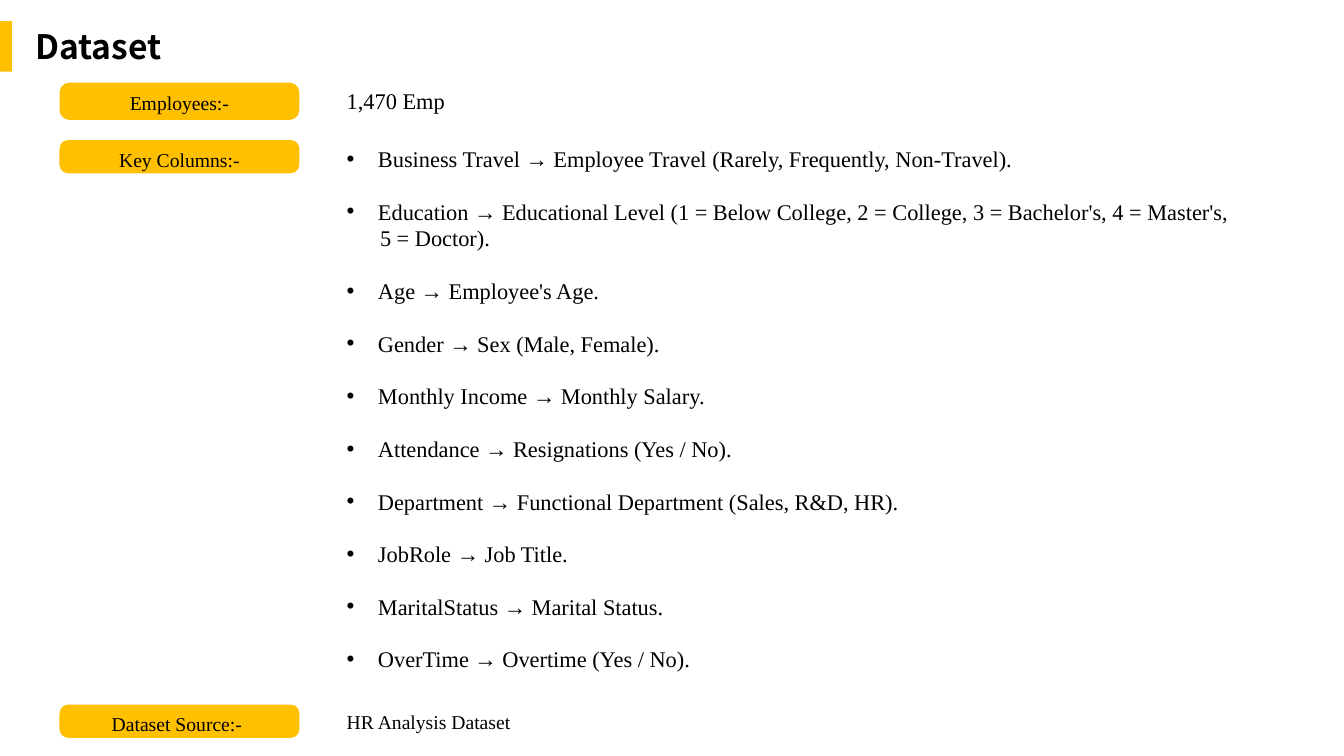
"""Build the Dataset slide: yellow labels beside the facts they name."""
import pptx
import pptx.util
import pptx.dml.color
import pptx.enum.shapes
import pptx.enum.text
from lxml import etree

GOLD = pptx.dml.color.RGBColor(0xFF, 0xC0, 0x00)
BLACK = pptx.dml.color.RGBColor(0x00, 0x00, 0x00)
SERIF = "Times New Roman"
SANS = "Noto Sans CJK SC"
WIDE = pptx.util.Inches(13.33)
HIGH = pptx.util.Inches(7.5)
LABEL_X, LABEL_W = 4.43, 17.85
VALUE_X = 25.06
HANG = pptx.util.Inches(0.31)
TAIL = pptx.util.Inches(0.33)
GAP = 18.4
KINDS = pptx.enum.shapes.MSO_SHAPE

FIELDS = [
    ("Business Travel → Employee Travel (Rarely, Frequently, Non-Travel).",),
    ("Education → Educational Level (1 = Below College, 2 = College, "
     "3 = Bachelor's, 4 = Master's,", "5 = Doctor)."),
    ("Age → Employee's Age.",),
    ("Gender → Sex (Male, Female).",),
    ("Monthly Income → Monthly Salary.",),
    ("Attendance → Resignations (Yes / No).",),
    ("Department → Functional Department (Sales, R&D, HR).",),
    ("JobRole → Job Title.",),
    ("MaritalStatus → Marital Status.",),
    ("OverTime → Overtime (Yes / No).",),
]


def place(x, y, w, h):
    """Turn percentages of the slide into lengths."""
    return [round(part * whole / 100)
            for part, whole in ((x, WIDE), (y, HIGH), (w, WIDE), (h, HIGH))]


def write(para, text, size=16, font=SERIF, bold=False, align=None, before=0):
    """Put formatted text into a paragraph."""
    para.alignment = align
    if before:
        para.space_before = pptx.util.Pt(before)
    run = para.add_run()
    run.text = text
    run.font.size = pptx.util.Pt(size)
    run.font.name = font
    run.font.bold = bold
    run.font.color.rgb = BLACK


def add_box(slide, x, y, w, h):
    """Add an empty wrapping text box and return its frame."""
    frame = slide.shapes.add_textbox(*place(x, y, w, h)).text_frame
    frame.word_wrap = True
    return frame


def add_block(slide, kind, x, y, w, h):
    """Add a plain gold shape."""
    block = slide.shapes.add_shape(kind, *place(x, y, w, h))
    block.shadow.inherit = False
    block.fill.solid()
    block.fill.fore_color.rgb = GOLD
    block.line.fill.background()
    return block


def add_label(slide, text, y, h):
    """Add a rounded gold label in the left column."""
    block = add_block(slide, KINDS.ROUNDED_RECTANGLE, LABEL_X, y, LABEL_W, h)
    block.adjustments[0] = 0.26
    frame = block.text_frame
    frame.margin_left = frame.margin_right = frame.margin_bottom = 0
    frame.margin_top = pptx.util.Inches(0.05)
    frame.vertical_anchor = pptx.enum.text.MSO_ANCHOR.TOP
    write(frame.paragraphs[0], text, size=14,
          align=pptx.enum.text.PP_ALIGN.CENTER)


def add_bullet(para):
    """Give a paragraph a hanging bullet."""
    props = para._p.get_or_add_pPr()
    props.set("marL", str(HANG))
    props.set("indent", str(-HANG))
    space = pptx.oxml.ns.qn
    etree.SubElement(props, space("a:buFont")).set("typeface", "Arial")
    etree.SubElement(props, space("a:buChar")).set("char", "•")


def add_fields(frame, fields):
    """List the fields, with any further lines set under their text."""
    for spot, (head, *rest) in enumerate(fields):
        para = frame.add_paragraph() if spot else frame.paragraphs[0]
        add_bullet(para)
        write(para, head, before=GAP if spot else 0)
        for line in rest:
            para = frame.add_paragraph()
            para._p.get_or_add_pPr().set("marL", str(TAIL))
            write(para, line)


def main():
    """Draw the slide and save it."""
    deck = pptx.Presentation()
    deck.slide_width, deck.slide_height = WIDE, HIGH
    slide = deck.slides.add_slide(deck.slide_layouts[6])
    title = add_box(slide, 1.88, 2.8, 21.76, 6.67)
    write(title.paragraphs[0], "Dataset", size=24, font=SANS, bold=True)
    add_block(slide, KINDS.RECTANGLE, 0, 2.8, 0.9, 6.67)

    add_label(slide, "Employees:-", 10.93, 4.93)
    count = add_box(slide, VALUE_X, 10.93, 31.51, 4.93)
    write(count.paragraphs[0], "1,470 Emp")

    add_label(slide, "Key Columns:-", 18.53, 4.4)
    add_fields(add_box(slide, VALUE_X, 18.53, 72.77, 73.2), FIELDS)

    add_label(slide, "Dataset Source:- ", 93.2, 4.4)
    source = add_box(slide, VALUE_X, 93.2, 33.31, 4.53)
    write(source.paragraphs[0], "HR Analysis Dataset", size=14)
    deck.save("out.pptx")


if __name__ == "__main__":
    main()
